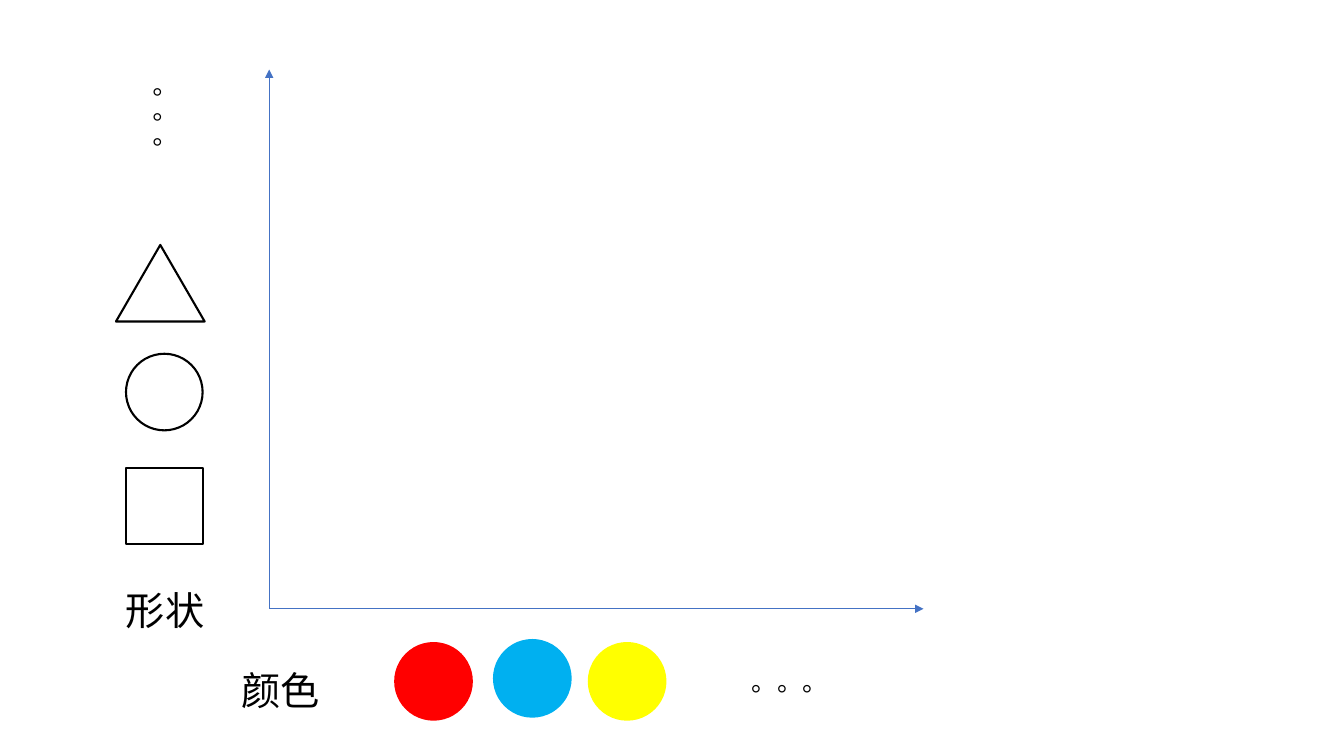
"""Build a slide with a shape axis and a colour axis."""
import pptx
import pptx.util
import pptx.dml.color
import pptx.enum.shapes
import pptx.enum.text
import pptx.oxml
import pptx.oxml.ns
from pptx.util import Inches

FONT = "Noto Sans CJK SC"
COLORS = {"ink": "000000", "axis": "4472C4", "red": "FF0000",
          "blue": "00B0F0", "yellow": "FFFF00"}
SIZE = 0.76
KINDS = pptx.enum.shapes.MSO_SHAPE
OUTLINES = [(KINDS.RECTANGLE, 1.25, 4.64, SIZE), (KINDS.OVAL, 1.25, 3.51, SIZE),
            (KINDS.ISOSCELES_TRIANGLE, 1.15, 2.43, 0.88)]
DISCS = [("red", 3.92, 6.38), ("blue", 4.9, 6.35), ("yellow", 5.84, 6.38)]
AXES = [(2.68, 6.04, 9.16, 6.04), (2.67, 6.04, 2.67, 0.69)]
LABELS = [("形状", 1.15, 5.77), ("颜色", 2.3, 6.56)]
DOTS = [(7.36, 6.56, 0), (1.16, 1.05, 90)]


def rgb(name):
    return pptx.dml.color.RGBColor.from_string(COLORS[name])


def add_figure(slide, kind, left, top, width, line="ink", fill=None):
    figure = slide.shapes.add_shape(kind, Inches(left), Inches(top),
                                    Inches(width), Inches(SIZE))
    figure.shadow.inherit = False
    if fill:
        figure.fill.solid()
        figure.fill.fore_color.rgb = rgb(fill)
    else:
        figure.fill.background()
    figure.line.color.rgb = rgb(line)
    figure.line.width = pptx.util.Pt(1.5)


def add_axis(slide, *ends):
    axis = slide.shapes.add_connector(pptx.enum.shapes.MSO_CONNECTOR.STRAIGHT,
                                      *map(Inches, ends))
    axis.line.color.rgb = rgb("axis")
    axis.line.width = pptx.util.Pt(0.5)
    properties = axis.line._get_or_add_ln()
    pptx.oxml.ns.qn("a:tailEnd")
    arrow = properties.makeelement(pptx.oxml.ns.qn("a:tailEnd"), {"type": "triangle"})
    properties.append(arrow)
    shape_properties = axis._element.spPr
    shape_properties.append(
        shape_properties.makeelement(pptx.oxml.ns.qn("a:effectLst"), {}))


def add_text(slide, text, left, top, width, height, size, rotation=0):
    box = slide.shapes.add_textbox(Inches(left), Inches(top),
                                   Inches(width), Inches(height))
    box.rotation = rotation
    box.text_frame.word_wrap = False
    box.text_frame.auto_size = pptx.enum.text.MSO_AUTO_SIZE.SHAPE_TO_FIT_TEXT
    span = box.text_frame.paragraphs[0].add_run()
    span.text = text
    span.font.name = FONT
    span.font.size = pptx.util.Pt(size)
    span.font.color.rgb = rgb("ink")
    properties = span.font._element
    properties.append(
        properties.makeelement(pptx.oxml.ns.qn("a:ea"), {"typeface": FONT}))


def main():
    deck = pptx.Presentation()
    deck.slide_width, deck.slide_height = Inches(13.33), Inches(7.5)
    slide = deck.slides.add_slide(deck.slide_layouts[6])
    for kind, left, top, width in OUTLINES:
        add_figure(slide, kind, left, top, width)
    for text, left, top in LABELS:
        add_text(slide, text, left, top, 0.99, 0.57, size=28)
    for color, left, top in DISCS:
        add_figure(slide, KINDS.OVAL, left, top, SIZE, line=color, fill=color)
    for ends in AXES:
        add_axis(slide, *ends)
    for left, top, rotation in DOTS:
        add_text(slide, "。。。", left, top, 0.96, 0.4, size=18, rotation=rotation)
    deck.save("out.pptx")


if __name__ == "__main__":
    main()
